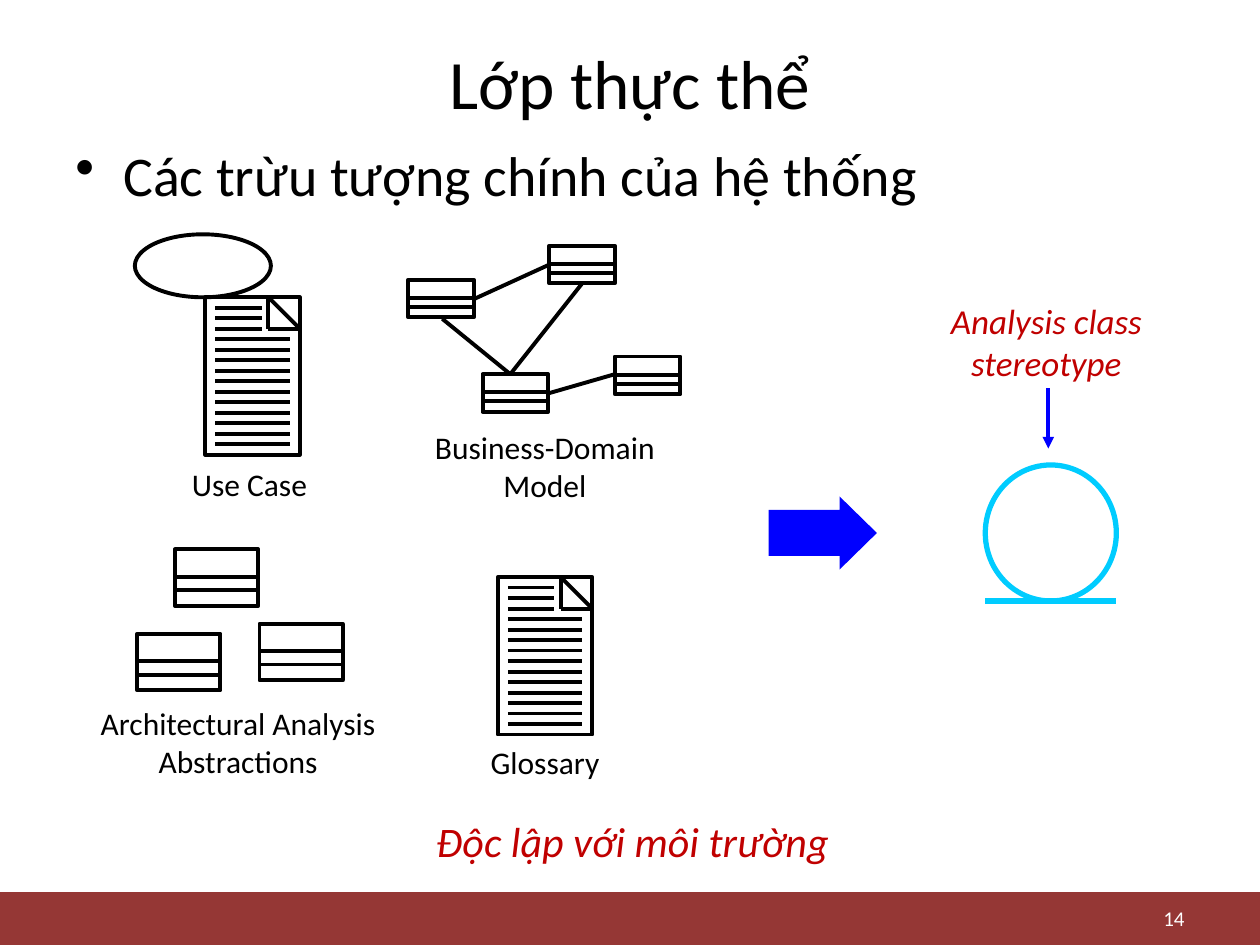
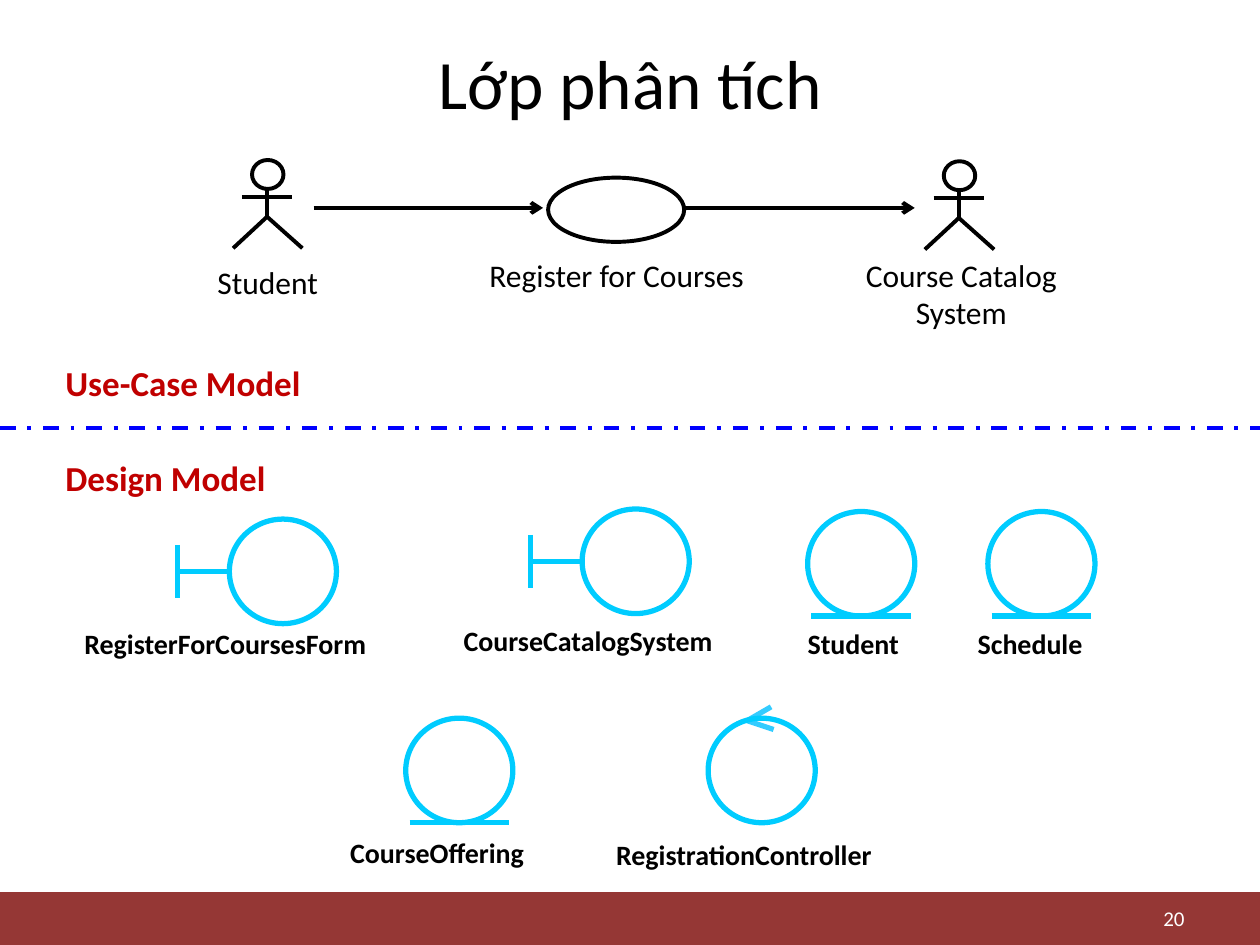
import pptx
import pptx.util
import pptx.dml.color
import pptx.enum.dml
import pptx.enum.shapes
import pptx.enum.text
import pptx.oxml.ns
from dataclasses import dataclass
from lxml import etree

Inches, Pt = pptx.util.Inches, pptx.util.Pt
SHAPE = pptx.enum.shapes.MSO_SHAPE
ALIGN = pptx.enum.text.PP_ALIGN
ANCHOR = pptx.enum.text.MSO_ANCHOR
DASH = pptx.enum.dml.MSO_LINE


@dataclass(frozen=True)
class Theme:
    font: str = "Calibri"
    ink: str = "000000"
    paper: str = "FFFFFF"
    band: str = "953735"
    accent: str = "C00000"
    flow: str = "0000FF"
    symbol: str = "00CCFF"
    control_tip: str = "33CCFF"
    title: float = 39.6
    bullet: int = 32
    conclusion: int = 24
    heading: int = 20
    caption: int = 18
    class_name: int = 16
    page_number: int = 12
    line: float = 2.25
    symbol_line: float = 3


theme = Theme()
DEFAULT_INSETS = (0.1, 0.05)
WIDE_INSETS = (0.12, 0.06)
NO_INSETS = (0, 0)

ENTITY_SLIDE = {
    "title": "Lớp thực thể",
    "page": "14",
    "bullet": "Các trừu tượng chính của hệ thống",
    "conclusion": "Độc lập với môi trường",
    "stereotype": "Analysis class stereotype",
    "documents": [(1.63, 2.36), (3.95, 4.58)],
    "use_case": (1.07, 1.86, 1.08, 0.5),
    "domain_classes": [(3.24, 2.22), (4.36, 1.95), (3.83, 2.97), (4.88, 2.83)],
    "domain_class_size": (0.52, 0.3),
    "associations": [
        ((4.05, 2.97), (3.51, 2.53)),
        ((3.77, 2.37), (4.36, 2.1)),
        ((4.36, 3.12), (4.88, 2.97)),
        ((4.05, 2.97), (4.62, 2.25)),
    ],
    "abstractions": [(1.39, 4.36), (2.06, 4.95), (1.09, 5.03)],
    "abstraction_size": (0.66, 0.45),
    "captions": [
        ("Use Case", (1.26, 3.64, 1.44, 0.4), DEFAULT_INSETS),
        ("Business-Domain\nModel", (3.21, 3.35, 2.23, 0.7), DEFAULT_INSETS),
        ("Architectural Analysis Abstractions", (0.54, 5.53, 2.7, 0.72), WIDE_INSETS),
        ("Glossary", (3.73, 5.85, 1.19, 0.4), DEFAULT_INSETS),
    ],
}

ANALYSIS_SLIDE = {
    "title": "Lớp phân tích",
    "page": "20",
    "actors": [(1.85, 1.27), (7.34, 1.28)],
    "use_case": (4.35, 1.41, 1.08, 0.51),
    "messages": [((2.49, 1.65), (4.31, 1.65)), ((5.44, 1.65), (7.26, 1.65))],
    "captions": [
        ("Student", (1.57, 2.04, 1.11, 0.4)),
        ("Register for Courses", (3.47, 1.98, 2.85, 0.4)),
        ("Course Catalog\nSystem", (6.61, 1.98, 2.04, 0.7)),
    ],
    "models": [("Use-Case Model", 2.82), ("Design Model", 3.57)],
    "classes": [
        ("RegisterForCoursesForm", "boundary", (1.82, 4.12), (0.67, 4.97)),
        ("CourseCatalogSystem", "boundary", (4.62, 4.04), (3.68, 4.95)),
        ("Student", "entity", (6.41, 4.06), (6.41, 4.97)),
        ("Schedule", "entity", (7.84, 4.06), (7.76, 4.97)),
        ("CourseOffering", "entity", (3.22, 5.7), (2.78, 6.63)),
        ("RegistrationController", "control", (5.62, 5.7), (4.89, 6.65)),
    ],
    "class_size": (0.85, 0.83),
}


def rgb(color):
    return pptx.dml.color.RGBColor.from_string(color)


def add_text(slide, text, box, size, color=theme.ink, align=ALIGN.CENTER,
             anchor=ANCHOR.TOP, insets=DEFAULT_INSETS, bold=False, italic=False, bullet=None):
    frame = slide.shapes.add_textbox(*map(Inches, box)).text_frame
    frame.word_wrap = True
    frame.vertical_anchor = anchor
    frame.margin_left = frame.margin_right = Inches(insets[0])
    frame.margin_top = frame.margin_bottom = Inches(insets[1])
    frame.text = text
    for paragraph in frame.paragraphs:
        paragraph.alignment = align
        if bullet:
            properties = paragraph._p.get_or_add_pPr()
            properties.set("marL", str(Inches(0.38)))
            properties.set("indent", str(Inches(-0.38)))
            etree.SubElement(properties, pptx.oxml.ns.qn("a:buChar"), char=bullet)
        font = paragraph.font
        font.name, font.size = theme.font, Pt(size)
        font.bold, font.italic = bold, italic
        font.color.rgb = rgb(color)


def add_outline(slide, kind, box, color=theme.ink, width=theme.line):
    shape = slide.shapes.add_shape(kind, *map(Inches, box))
    shape.shadow.inherit = False
    shape.fill.background()
    shape.line.color.rgb = rgb(color)
    shape.line.width = Pt(width)


def add_solid(slide, kind, box, color):
    shape = slide.shapes.add_shape(kind, *map(Inches, box))
    shape.shadow.inherit = False
    shape.fill.solid()
    shape.fill.fore_color.rgb = rgb(color)
    shape.line.fill.background()
    return shape


def add_line(slide, start, end, color=theme.ink, width=theme.line, dash=None, head=None):
    connector = slide.shapes.add_connector(
        pptx.enum.shapes.MSO_CONNECTOR.STRAIGHT, *map(Inches, (*start, *end)))
    connector.line.color.rgb = rgb(color)
    connector.line.width = Pt(width)
    if dash:
        connector.line.dash_style = dash
    if head:
        etree.SubElement(connector.line._get_or_add_ln(), pptx.oxml.ns.qn("a:tailEnd"), type=head)
    etree.SubElement(connector._element.spPr, pptx.oxml.ns.qn("a:effectLst"))


def add_symbol_line(slide, start, end, color=theme.symbol):
    add_line(slide, start, end, color, theme.symbol_line)


def add_document(slide, x, y):
    width, height, fold, gap = 0.75, 1.25, 0.25, 1.25 / 15
    right = x + width
    add_outline(slide, SHAPE.RECTANGLE, (x, y, width, height))
    corners = [(right - fold, y), (right, y + fold), (right - fold, y + fold)]
    for index, corner in enumerate(corners):
        add_line(slide, corner, corners[(index + 1) % 3])
    for row in range(1, 15):
        row_end = right - fold - 0.05 if row <= 3 else right - 0.08
        add_line(slide, (x + 0.08, y + row * gap), (row_end, y + row * gap))


def add_class_box(slide, x, y, width, height):
    add_outline(slide, SHAPE.RECTANGLE, (x, y, width, height))
    for share in (0.48, 0.72):
        divider = y + share * height
        add_line(slide, (x, divider), (x + width, divider))


def add_actor(slide, x, y):
    middle, hip = x + 0.27, y + 0.45
    add_outline(slide, SHAPE.OVAL, (x + 0.15, y, 0.25, 0.23))
    add_line(slide, (middle, y + 0.23), (middle, hip))
    add_line(slide, (x + 0.07, y + 0.29), (x + 0.47, y + 0.29))
    builder = slide.shapes.build_freeform(Inches(x), Inches(hip + 0.25))
    builder.add_line_segments(
        [(Inches(middle), Inches(hip)), (Inches(x + 0.55), Inches(hip + 0.25))], close=False)
    legs = builder.convert_to_shape()
    legs.shadow.inherit = False
    legs.fill.background()
    legs.line.color.rgb = rgb(theme.ink)
    legs.line.width = Pt(theme.line)


def add_circle(slide, x, y, width, height):
    add_outline(slide, SHAPE.OVAL, (x, y, width, height), theme.symbol, theme.symbol_line)


def add_entity(slide, x, y, width, height, base_inset=0.03):
    base = y + height
    add_symbol_line(slide, (x + base_inset, base), (x + width - base_inset, base))
    add_circle(slide, x, y, width, height)


def add_boundary(slide, x, y, width, height):
    bar, middle = x - 0.41, y + height / 2
    add_circle(slide, x, y, width, height)
    add_symbol_line(slide, (bar, middle - 0.21), (bar, middle + 0.21))
    add_symbol_line(slide, (bar, middle), (x, middle))


def add_control(slide, x, y, width, height):
    tip = (x + 0.31, y + 0.02)
    for barb in ((x + 0.5, y - 0.09), (x + 0.52, y + 0.09)):
        add_symbol_line(slide, barb, tip, theme.control_tip)
    add_circle(slide, x, y, width, height)


SYMBOLS = {"entity": add_entity, "boundary": add_boundary, "control": add_control}


def add_base_slide(deck, content):
    slide = deck.slides.add_slide(deck.slide_layouts[6])
    slide.background.fill.solid()
    slide.background.fill.fore_color.rgb = rgb(theme.paper)
    add_solid(slide, SHAPE.RECTANGLE, (0, 7.08, 10, 0.42), theme.band)
    add_text(slide, content["title"], (0.5, 0.3, 9, 0.7), theme.title, anchor=ANCHOR.MIDDLE)
    add_text(slide, content["page"], (7.17, 7.15, 2.33, 0.27), theme.page_number,
             theme.paper, ALIGN.RIGHT, ANCHOR.MIDDLE)
    return slide


def build_entity_slide(deck, content):
    slide = add_base_slide(deck, content)
    add_text(slide, content["bullet"], (0.5, 1.07, 9, 0.77), theme.bullet,
             align=ALIGN.LEFT, bullet="•")
    add_outline(slide, SHAPE.OVAL, content["use_case"])
    for corner in content["documents"]:
        add_document(slide, *corner)
    for corner in content["domain_classes"]:
        add_class_box(slide, *corner, *content["domain_class_size"])
    for start, end in content["associations"]:
        add_line(slide, start, end)
    for corner in content["abstractions"]:
        add_class_box(slide, *corner, *content["abstraction_size"])
    for caption, box, insets in content["captions"]:
        add_text(slide, caption, box, theme.caption, insets=insets)
    result_arrow = add_solid(slide, SHAPE.RIGHT_ARROW, (6.1, 3.94, 0.86, 0.58), theme.flow)
    result_arrow.adjustments[0] = 0.63
    result_arrow.adjustments[1] = 0.51
    add_text(slide, content["stereotype"], (7.31, 2.32, 1.99, 0.78), theme.heading,
             theme.accent, insets=WIDE_INSETS, italic=True)
    add_line(slide, (8.32, 3.08), (8.32, 3.56), theme.flow, head="triangle")
    add_entity(slide, 7.82, 3.69, 1.04, 1.08, base_inset=0)
    add_text(slide, content["conclusion"], (2.96, 6.42, 4.12, 0.5), theme.conclusion,
             theme.accent, italic=True)


def build_analysis_slide(deck, content):
    slide = add_base_slide(deck, content)
    for corner in content["actors"]:
        add_actor(slide, *corner)
    add_outline(slide, SHAPE.OVAL, content["use_case"])
    for start, end in content["messages"]:
        add_line(slide, start, end, head="arrow")
    for caption, box in content["captions"]:
        add_text(slide, caption, box, theme.caption)
    add_line(slide, (0, 3.4), (10, 3.4), theme.flow, dash=DASH.DASH_DOT)
    for model, top in content["models"]:
        add_text(slide, model, (0.42, top, 2.75, 0.43), theme.heading,
                 theme.accent, ALIGN.LEFT, bold=True)
    for name, stereotype, corner, name_corner in content["classes"]:
        SYMBOLS[stereotype](slide, *corner, *content["class_size"])
        add_text(slide, name, (*name_corner, 2.7, 0.27), theme.class_name,
                 align=ALIGN.LEFT, insets=NO_INSETS, bold=True)


def main():
    deck = pptx.Presentation()
    deck.slide_width, deck.slide_height = Inches(10), Inches(7.5)
    build_entity_slide(deck, ENTITY_SLIDE)
    build_analysis_slide(deck, ANALYSIS_SLIDE)
    deck.save("out.pptx")


if __name__ == "__main__":
    main()
